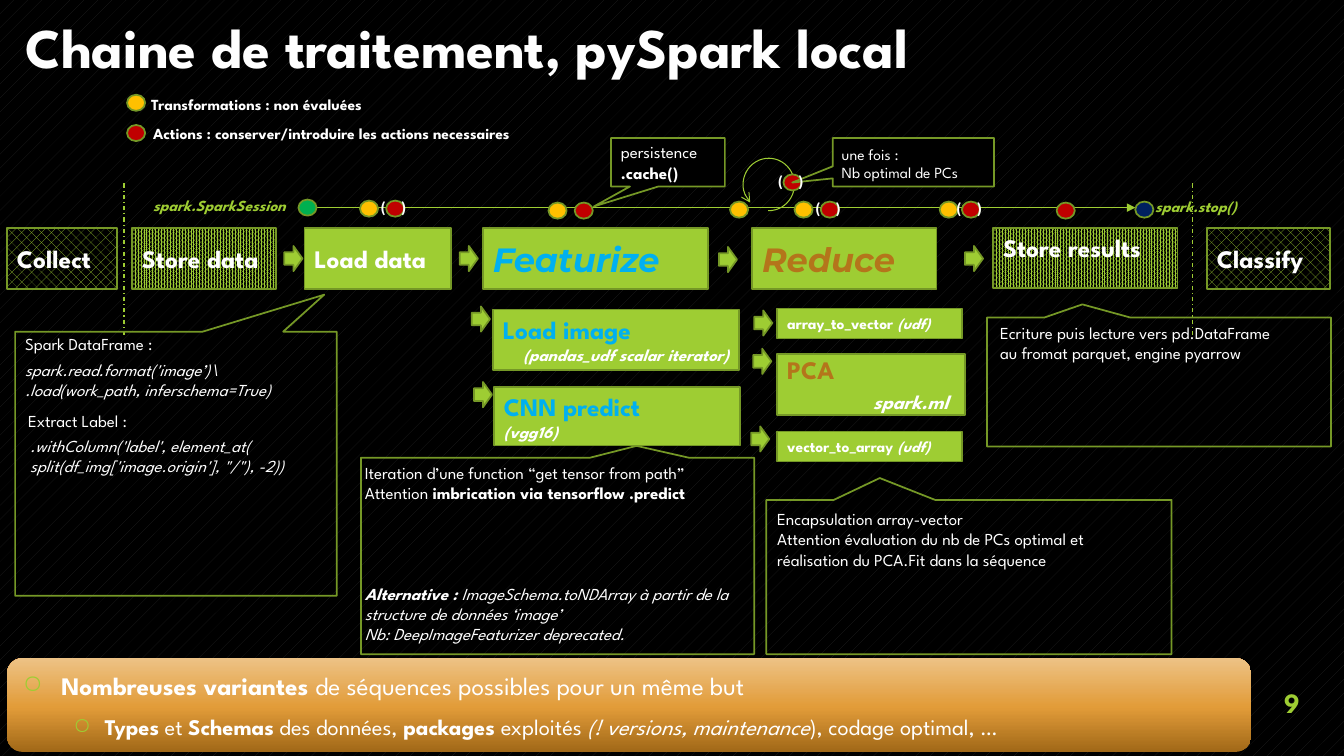
"""Build the slide showing the local pySpark processing chain."""
from dataclasses import dataclass
from typing import Any, NamedTuple

import lxml.etree
import pptx
import pptx.dml.color
import pptx.enum.dml
import pptx.enum.shapes
import pptx.enum.text
import pptx.oxml
import pptx.oxml.ns
import pptx.util

Inches = pptx.util.Inches
Kind = pptx.enum.shapes.MSO_SHAPE
Pattern = pptx.enum.dml.MSO_PATTERN
Anchor = pptx.enum.text.MSO_ANCHOR
Align = pptx.enum.text.PP_ALIGN
qn = pptx.oxml.ns.qn

COLORS = {
    "black": "000000", "white": "FFFFFF", "title": "FEFEFE", "grain": "212121",
    "green": "9ECD33", "edge": "759826", "blue": "00B0F0", "brown": "B4751B",
    "yellow": "FFC000", "red": "C00000", "start": "00B050", "stop": "002060",
    "band_low": "A16818", "band_mid": "E29C39", "band_high": "EDC285",
}


class Span(NamedTuple):
    text: str
    size: float = 12
    bold: bool = False
    italic: bool = False
    color: str = "white"
    font: str = "League Spartan"


class Para(NamedTuple):
    spans: list[Span]
    align: Any = Align.LEFT
    bullet: tuple[float, float] | None = None
    tab: float | None = None
    before: float = 0
    after: float = 0


class Area(NamedTuple):
    left: float
    top: float
    width: float
    height: float


@dataclass
class Block:
    area: Area
    paras: list[Para]
    pattern: Any = None
    anchor: Any = Anchor.MIDDLE


@dataclass
class Callout:
    area: Area
    tip: tuple[float, float]
    fill: str | None = None


@dataclass
class Note:
    area: Area
    paras: list[Para]
    anchor: Any = Anchor.TOP


@dataclass
class Dot:
    left: float
    top: float
    color: str
    optional: bool = False


def rgb(name: str) -> pptx.dml.color.RGBColor:
    return pptx.dml.color.RGBColor.from_string(COLORS[name])


def lines(*texts: str, **style: Any) -> list[Para]:
    return [Para([Span(text, **style)]) for text in texts]


def set_pattern(fill: Any, pattern: Any, front: str, back: str) -> None:
    fill.patterned()
    fill.pattern = pattern
    fill.fore_color.rgb = rgb(front)
    fill.back_color.rgb = rgb(back)


def write_text(box: Any, paras: list[Para], *, anchor: Any = Anchor.TOP) -> None:
    frame = box.text_frame
    frame.word_wrap = True
    frame.vertical_anchor = anchor
    for index, item in enumerate(paras):
        para = frame.paragraphs[0] if index == 0 else frame.add_paragraph()
        para.alignment = item.align
        properties = para._p.get_or_add_pPr()
        if item.bullet:
            margin, indent = item.bullet
            properties.set("marL", str(Inches(margin)))
            properties.set("indent", str(Inches(indent)))
            color = lxml.etree.SubElement(properties, qn("a:buClr"))
            lxml.etree.SubElement(color, qn("a:srgbClr"), val=COLORS["green"])
            lxml.etree.SubElement(properties, qn("a:buChar"), char="○")
        if item.tab:
            tabs = lxml.etree.SubElement(properties, qn("a:tabLst"))
            lxml.etree.SubElement(tabs, qn("a:tab"), pos=str(Inches(item.tab)), algn="l")
        if item.before:
            para.space_before = pptx.util.Pt(item.before)
        if item.after:
            para.space_after = pptx.util.Pt(item.after)
        for span in item.spans:
            run = para.add_run()
            run.text = span.text
            run.font.size = pptx.util.Pt(span.size)
            run.font.bold, run.font.italic = span.bold, span.italic
            run.font.name = span.font
            run.font.color.rgb = rgb(span.color)


def add_note(page: Any, note: Note) -> None:
    box = page.shapes.add_textbox(*map(Inches, note.area))
    write_text(box, note.paras, anchor=note.anchor)


def add_shape(page: Any, kind: Any, area: Area, fill: str | None = None) -> Any:
    shape = page.shapes.add_shape(kind, *map(Inches, area))
    shape.shadow.inherit = False
    shape.line.color.rgb = rgb("edge")
    shape.line.width = pptx.util.Pt(1.25)
    if fill:
        shape.fill.solid()
        shape.fill.fore_color.rgb = rgb(fill)
    else:
        shape.fill.background()
    return shape


def add_block(page: Any, block: Block) -> None:
    shape = add_shape(page, Kind.RECTANGLE, block.area, "green")
    if block.pattern:
        set_pattern(shape.fill, block.pattern, "green", "black")
    write_text(shape, block.paras, anchor=block.anchor)


def add_callout(page: Any, callout: Callout) -> Any:
    shape = add_shape(page, Kind.RECTANGULAR_CALLOUT, callout.area, callout.fill)
    shape.adjustments[0], shape.adjustments[1] = callout.tip
    return shape


def add_line(page: Any, start: tuple[float, float], end: tuple[float, float]) -> Any:
    line = page.shapes.add_connector(
        pptx.enum.shapes.MSO_CONNECTOR.STRAIGHT, *map(Inches, start + end))
    line.line.color.rgb = rgb("green")
    line.line.width = pptx.util.Pt(0.75)
    lxml.etree.SubElement(line._element.spPr, qn("a:effectLst"))
    return line


def add_head(shape: Any, head: str) -> None:
    lxml.etree.SubElement(shape.line._get_or_add_ln(), qn("a:tailEnd"), type=head)


def add_band(page: Any) -> None:
    band = add_shape(page, Kind.ROUNDED_RECTANGLE, Area(0.07, 6.53, 12.34, 0.93), "band_mid")
    band.line.fill.background()
    stops = "".join(f'<a:gs pos="{at}"><a:srgbClr val="{COLORS[name]}"/></a:gs>' for at, name in
                    ((0, "band_low"), (48000, "band_mid"), (100000, "band_high")))
    gradient = pptx.oxml.parse_xml(
        f'<a:gradFill {pptx.oxml.ns.nsdecls("a")} rotWithShape="1"><a:gsLst>{stops}</a:gsLst>'
        '<a:lin ang="16200000" scaled="0"/></a:gradFill>')
    solid = band._element.spPr.find(qn("a:solidFill"))
    solid.getparent().replace(solid, gradient)


def stage(text: str, **style: Any) -> list[Para]:
    return lines(text, **{"size": 18, "bold": True, **style})


def udf(name: str) -> list[Para]:
    return [Para([Span(name + " ", 11, True), Span("(udf)", 11, True, True)])]


BLOCKS = [
    Block(Area(0.07, 2.26, 1.09, 0.61), stage("Collect"), Pattern.PERCENT_30),
    Block(Area(1.31, 2.26, 1.43, 0.61), stage("Store data"), Pattern.PERCENT_80),
    Block(Area(3.02, 2.26, 1.45, 0.61), stage("Load data")),
    Block(Area(4.79, 2.26, 2.23, 0.61),
          stage("Featurize", size=24, italic=True, color="blue", font="Montserrat")),
    Block(Area(7.46, 2.26, 1.83, 0.61),
          stage("Reduce", size=24, italic=True, color="brown", font="Montserrat")),
    Block(Area(9.85, 2.26, 1.83, 0.6), stage("Store results"), Pattern.PERCENT_80, Anchor.TOP),
    Block(Area(11.97, 2.26, 1.22, 0.61), stage("Classify"), Pattern.PERCENT_30),
    Block(Area(7.71, 3.06, 1.83, 0.3), udf("array_to_vector")),
    Block(Area(7.71, 3.51, 1.86, 0.61), stage("PCA", color="brown") + [
        Para([Span("spark.ml", 14, True, True), Span(" ", 18, True)], Align.RIGHT)]),
    Block(Area(7.71, 4.28, 1.83, 0.3), udf("vector_to_array")),
    Block(Area(4.89, 3.07, 2.44, 0.6), stage("Load image", color="blue") + [
        Para([Span("(pandas_udf scalar iterator)", 12, True, True)], Align.RIGHT)]),
    Block(Area(4.9, 3.84, 2.44, 0.58),
          stage("CNN predict", color="blue") + lines("(vgg16)", bold=True, italic=True)),
]
ARROWS = [(2.82, 2.44), (4.56, 2.44), (7.13, 2.45), (9.57, 2.44), (7.48, 3.08),
          (7.47, 3.46), (7.45, 4.23), (4.68, 3.04), (4.7, 3.79)]
DOTS = [
    Dot(1.26, 0.94, "yellow"), Dot(1.26, 1.24, "red"), Dot(2.96, 1.98, "start"),
    Dot(3.57, 1.99, "yellow"), Dot(3.83, 1.99, "red", True), Dot(5.44, 2.01, "yellow"),
    Dot(5.7, 2.01, "red"), Dot(7.24, 2, "yellow"), Dot(7.77, 1.73, "red", True),
    Dot(7.88, 2, "yellow"), Dot(8.14, 2, "red", True), Dot(9.32, 2, "yellow"),
    Dot(9.54, 2, "red", True), Dot(10.48, 2.01, "red"), Dot(11.26, 2, "stop"),
]
CALLOUTS = [
    Callout(Area(0.15, 3.29, 3.19, 2.62), (0.461, -0.64)),
    Callout(Area(8.26, 1.37, 1.6, 0.48), (-0.751, 0.419), "black"),
    Callout(Area(7.6, 4.96, 4.02, 1.53), (-0.22, -0.642)),
    Callout(Area(9.79, 3.15, 3.41, 1.28), (-0.223, -0.602)),
    Callout(Area(3.58, 4.54, 3.9, 1.95), (0.201, -0.56)),
]
CACHE = Callout(Area(6.06, 1.37, 1.13, 0.48), (-0.65, 0.914), "black")
SESSION = {"size": 11, "bold": True, "italic": True, "color": "green"}
NOTES = [
    Note(Area(0.15, 0.01, 11.56, 0.83), lines("Chaine de traitement, pySpark local", size=40,
                                              bold=True, color="title"), Anchor.BOTTOM),
    Note(Area(1.4, 0.89, 2.87, 0.29), lines("Transformations : non évaluées", size=11, bold=True)),
    Note(Area(1.42, 1.18, 4.35, 0.29),
         lines("Actions : conserver/introduire les actions necessaires", size=11, bold=True)),
    Note(Area(1.42, 1.9, 1.62, 0.29), lines("spark.SparkSession", **SESSION)),
    Note(Area(11.36, 1.91, 1.36, 0.29), lines("spark.stop()", **SESSION)),
    Note(Area(8.25, 1.39, 1.6, 0.47), lines("une fois :", "Nb optimal de PCs", size=11)),
    Note(Area(0.15, 3.26, 1.72, 0.3), lines("Spark DataFrame :")),
    Note(Area(0.15, 3.52, 3.19, 0.5), lines("spark.read.format('image’)\\",
                                            ".load(work_path, inferschema=True)", italic=True)),
    Note(Area(0.18, 4.03, 1.35, 0.3), lines("Extract Label :")),
    Note(Area(0.2, 4.27, 3.19, 0.5), lines(
        ".withColumn('label', element_at(",
        """split(df_img['image.origin'], "/"), -2))""", italic=True)),
    Note(Area(3.52, 4.54, 4.02, 0.71), lines("Iteration d’une function “get tensor from path”") + [
        Para([Span("Attention "), Span("imbrication via tensorflow .predict", bold=True)])]),
    Note(Area(3.52, 5.74, 3.82, 0.71), [Para([
        Span("Alternative : ", bold=True, italic=True),
        Span("ImageSchema.toNDArray à partir de la structure de données ‘image’", italic=True)]),
        *lines("Nb: DeepImageFeaturizer deprecated.", italic=True)]),
    Note(Area(7.61, 5, 3.71, 0.71), lines(
        "Encapsulation array-vector",
        "Attention évaluation du nb de PCs optimal et réalisation du PCA.Fit dans la séquence")),
    Note(Area(9.82, 3.15, 3.41, 0.5), lines("Ecriture puis lecture vers pd.DataFrame",
                                            "au fromat parquet, engine pyarrow")),
    Note(Area(11.83, 6.64, 1.16, 0.54),
         [Para([Span("9", 20, True, color="green")], Align.RIGHT)], Anchor.BOTTOM),
    Note(Area(0.13, 6.54, 12.23, 0.92), [
        Para([Span("Nombreuses variantes ", 18, True),
              Span("de séquences possibles pour un même but", 18)], bullet=(0.38, -0.38), after=6),
        Para([Span("Types", 16, True), Span(" et ", 16), Span("Schemas", 16, True),
              Span(" des données, ", 16), Span("packages ", 16, True), Span("exploités ", 16),
              Span("(! versions, maintenance", 16, italic=True),
              Span("), codage optimal, …", 16)], bullet=(0.81, -0.31), before=3, after=6),
    ], Anchor.MIDDLE),
]


def main() -> None:
    deck = pptx.Presentation()
    deck.slide_width, deck.slide_height = Inches(13.33), Inches(7.5)
    page = deck.slides.add_slide(deck.slide_layouts[6])
    set_pattern(page.background.fill, Pattern.PERCENT_5, "grain", "black")
    for block in BLOCKS:
        add_block(page, block)
    for left in (1.23, 11.83):
        divider = add_line(page, (left, 1.82), (left, 3.35))
        divider.line.dash_style = pptx.enum.dml.MSO_LINE.DASH_DOT
    add_head(add_line(page, (3.14, 2.06), (11.26, 2.06)), "triangle")
    for left, top in ARROWS:
        add_shape(page, Kind.RIGHT_ARROW, Area(left, top, 0.18, 0.25), "green")
    loop = add_shape(page, Kind.ARC, Area(7.37, 1.57, 0.51, 0.52))
    loop.adjustments[0], loop.adjustments[1] = 53.187, 26.638
    loop._element.spPr.find(qn("a:xfrm")).set("flipH", "1")
    loop.line.color.rgb = rgb("green")
    loop.line.width = pptx.util.Pt(0.75)
    add_head(loop, "arrow")
    for dot in DOTS:
        add_shape(page, Kind.OVAL, Area(dot.left, dot.top, 0.18, 0.16), dot.color)
    for callout in CALLOUTS:
        add_callout(page, callout)
    write_text(add_callout(page, CACHE), lines("persistence") + lines(".cache()", bold=True),
               anchor=Anchor.MIDDLE)
    for dot in filter(lambda item: item.optional, DOTS):
        add_note(page, Note(Area(dot.left - 0.15, dot.top - 0.08, 0.49, 0.29),
                            [Para([Span("(\t)", 11, True)], tab=0.2)]))
    add_band(page)
    for note in NOTES:
        add_note(page, note)
    deck.save("out.pptx")


if __name__ == "__main__":
    main()
